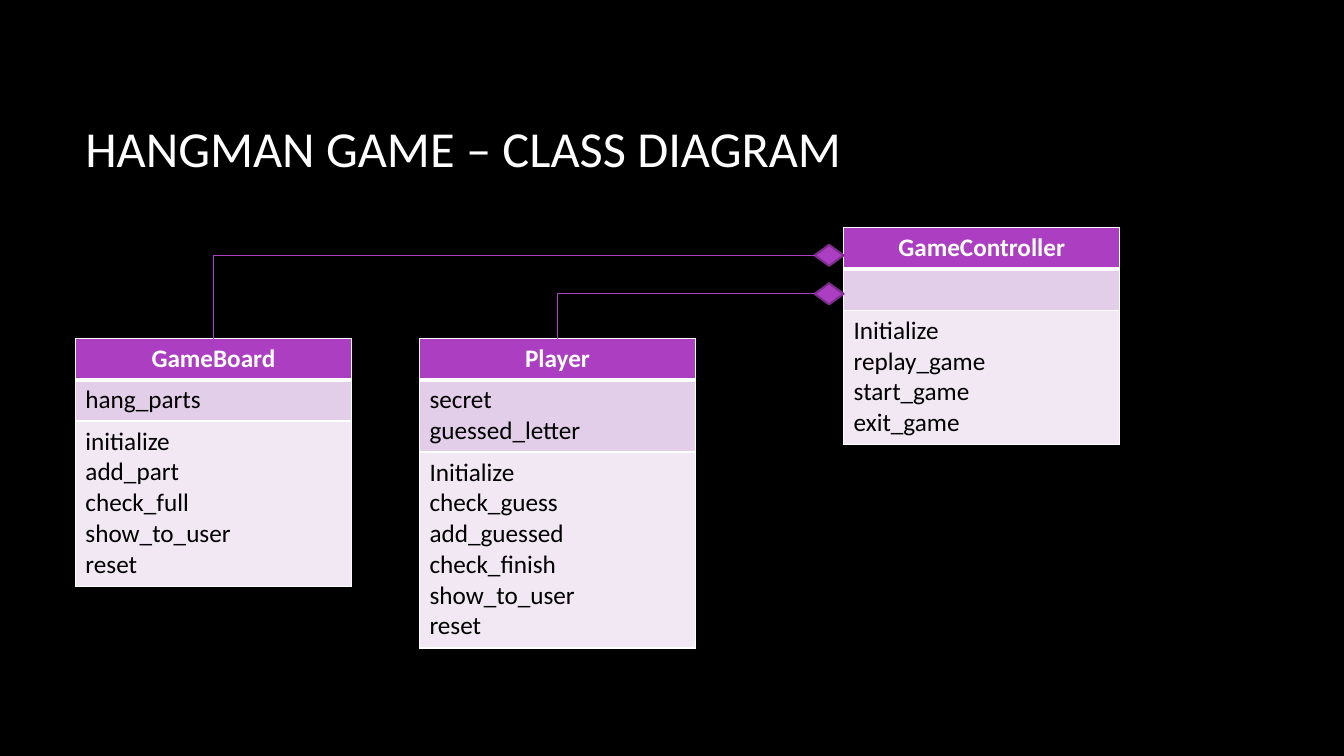
import pptx
import pptx.dml.color
import pptx.enum.shapes
import pptx.enum.text
import pptx.oxml
import pptx.oxml.ns
import pptx.util
from pptx.util import Cm

CLASS_WIDTH = 6.96
BOARD_LEFT, PLAYER_LEFT, CONTROLLER_LEFT = 1.9, 10.57, 21.26
PARTS_TOP, CONTROLLER_TOP = 8.53, 5.74
DIAMOND_WIDTH, DIAMOND_HEIGHT = 0.73, 0.53
PURPLE, DARK_PURPLE, WHITE, BLACK = "AC3EC1", "7F2E8F", "FFFFFF", "000000"
BAND_FILLS = (PURPLE, "E3CEE9", "F1E8F4")

CLASSES = (
    (BOARD_LEFT, PARTS_TOP, (
        ["GameBoard"],
        ["hang_parts"],
        ["initialize", "add_part", "check_full", "show_to_user", "reset"])),
    (PLAYER_LEFT, PARTS_TOP, (
        ["Player"],
        ["secret", "guessed_letter"],
        ["Initialize", "check_guess", "add_guessed", "check_finish", "show_to_user", "reset"])),
    (CONTROLLER_LEFT, CONTROLLER_TOP, (
        ["GameController"],
        [""],
        ["Initialize", "replay_game", "start_game", "exit_game"])),
)
COMPOSITIONS = ((BOARD_LEFT, 6.17), (PLAYER_LEFT, 7.14))


def color(value):
    """Return the colour for a hex string."""
    return pptx.dml.color.RGBColor.from_string(value)


def format_run(run, font_color, **values):
    """Apply font values to a run."""
    for name, value in {"name": "Calibri", **values}.items():
        setattr(run.font, name, value)
    run.font.color.rgb = color(font_color)


def add_title(slide, left, top, width, height):
    """Place the slide title, centred vertically in its box."""
    title = slide.shapes.add_textbox(Cm(left), Cm(top), Cm(width), Cm(height)).text_frame
    title.word_wrap = True
    title.vertical_anchor = pptx.enum.text.MSO_ANCHOR.MIDDLE
    title.text = "HANGMAN GAME – CLASS DIAGRAM"
    format_run(title.paragraphs[0].runs[0], WHITE, size=pptx.util.Pt(36))


def add_borders(cell, top, bottom):
    """Draw white borders of the given top and bottom widths in points."""
    for side, points in {"L": 1, "R": 1, "T": top, "B": bottom}.items():
        cell._tc.get_or_add_tcPr().append(pptx.oxml.parse_xml(
            f'<a:ln{side} {pptx.oxml.ns.nsdecls("a")} w="{pptx.util.Pt(points)}">'
            f'<a:solidFill><a:srgbClr val="{WHITE}"/></a:solidFill></a:ln{side}>'))


def add_class(slide, left, top, width, sections):
    """Place a class table with its name, attributes and methods."""
    heights = [Cm(0.26 + 0.78 * len(lines)) for lines in sections]
    table = slide.shapes.add_table(
        len(sections), 1, Cm(left), Cm(top), Cm(width), sum(heights)).table
    for index, (lines, height, fill) in enumerate(zip(sections, heights, BAND_FILLS)):
        is_name = index == 0
        table.rows[index].height = height
        cell = table.cell(index, 0)
        add_borders(cell, 3 if index == 1 else 1, 3 if is_name else 1)
        cell.fill.solid()
        cell.fill.fore_color.rgb = color(fill)
        cell.text = "\n".join(lines)
        for paragraph in cell.text_frame.paragraphs:
            if is_name:
                paragraph.alignment = pptx.enum.text.PP_ALIGN.CENTER
            for run in paragraph.runs:
                format_run(run, WHITE if is_name else BLACK,
                           size=pptx.util.Pt(18), bold=is_name)


def add_composition(slide, left, top, part_center, part_top):
    """Place a diamond and the bent line from it down to its part."""
    diamond = slide.shapes.add_shape(
        pptx.enum.shapes.MSO_SHAPE.FLOWCHART_DECISION,
        Cm(left), Cm(top), Cm(DIAMOND_WIDTH), Cm(DIAMOND_HEIGHT))
    diamond.shadow.inherit = False
    diamond.fill.solid()
    diamond.fill.fore_color.rgb = color(PURPLE)
    link = slide.shapes.add_connector(
        pptx.enum.shapes.MSO_CONNECTOR.ELBOW,
        Cm(left), Cm(top + DIAMOND_HEIGHT / 2), Cm(part_center), Cm(part_top))
    link.begin_connect(diamond, 1)
    properties = link._element.spPr
    properties.find(pptx.oxml.ns.qn("a:prstGeom")).set("prst", "bentConnector2")
    for outline, line_color, points in (
            (diamond.line, DARK_PURPLE, 1.5), (link.line, PURPLE, 0.75)):
        outline.color.rgb = color(line_color)
        outline.width = pptx.util.Pt(points)
    properties.append(pptx.oxml.parse_xml(
        f'<a:effectLst {pptx.oxml.ns.nsdecls("a")}/>'))


def main():
    """Build the class diagram slide."""
    deck = pptx.Presentation()
    deck.slide_width, deck.slide_height = Cm(33.87), Cm(19.05)
    slide = deck.slides.add_slide(deck.slide_layouts[6])
    slide.background.fill.solid()
    slide.background.fill.fore_color.rgb = color(BLACK)
    add_title(slide, BOARD_LEFT, 1.7, 28.14, 4.04)
    for left, top, sections in CLASSES:
        add_class(slide, left, top, CLASS_WIDTH, sections)
    for part_left, top in COMPOSITIONS:
        add_composition(slide, CONTROLLER_LEFT - DIAMOND_WIDTH, top,
                        part_left + CLASS_WIDTH / 2, PARTS_TOP)
    deck.save("out.pptx")


if __name__ == "__main__":
    main()
